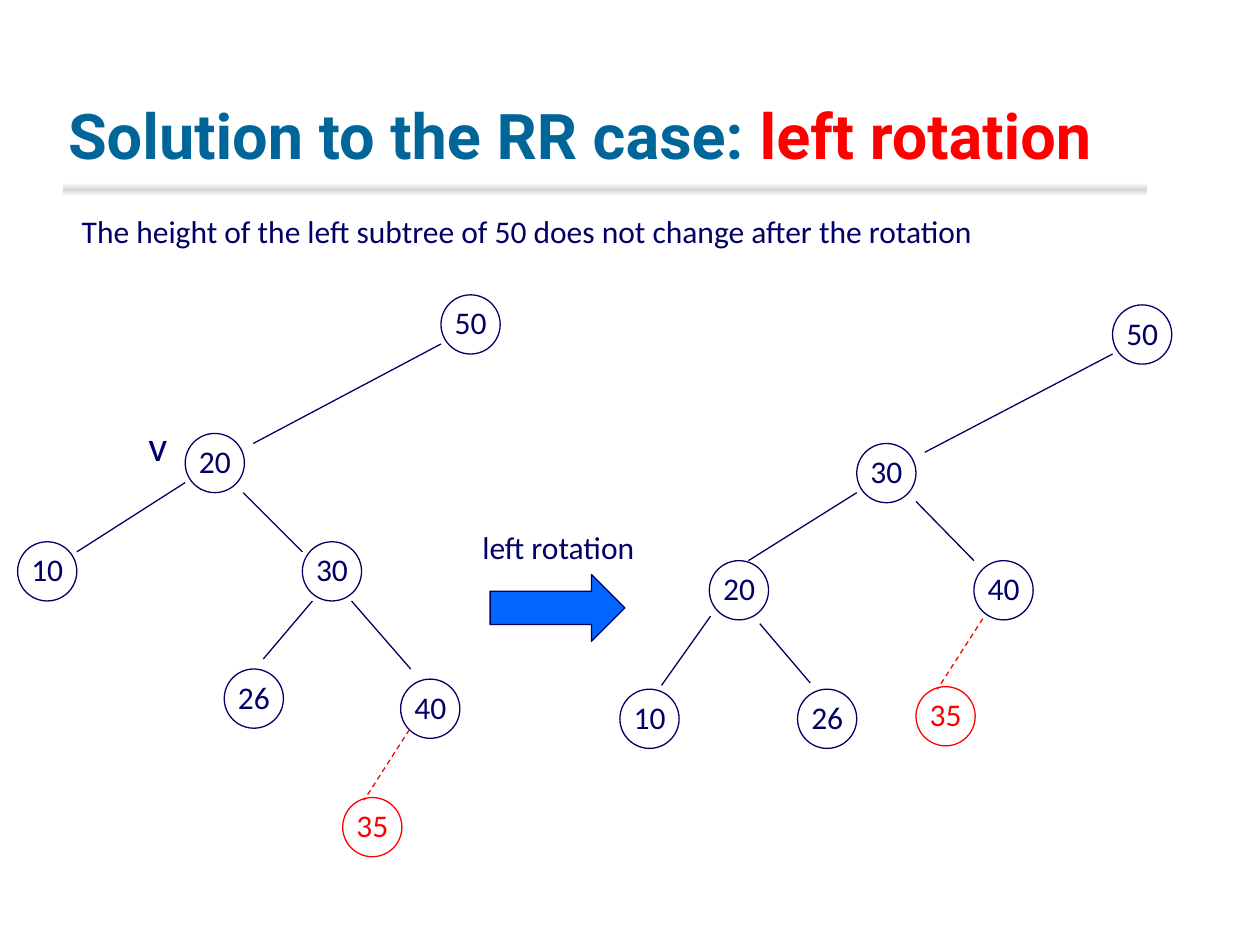
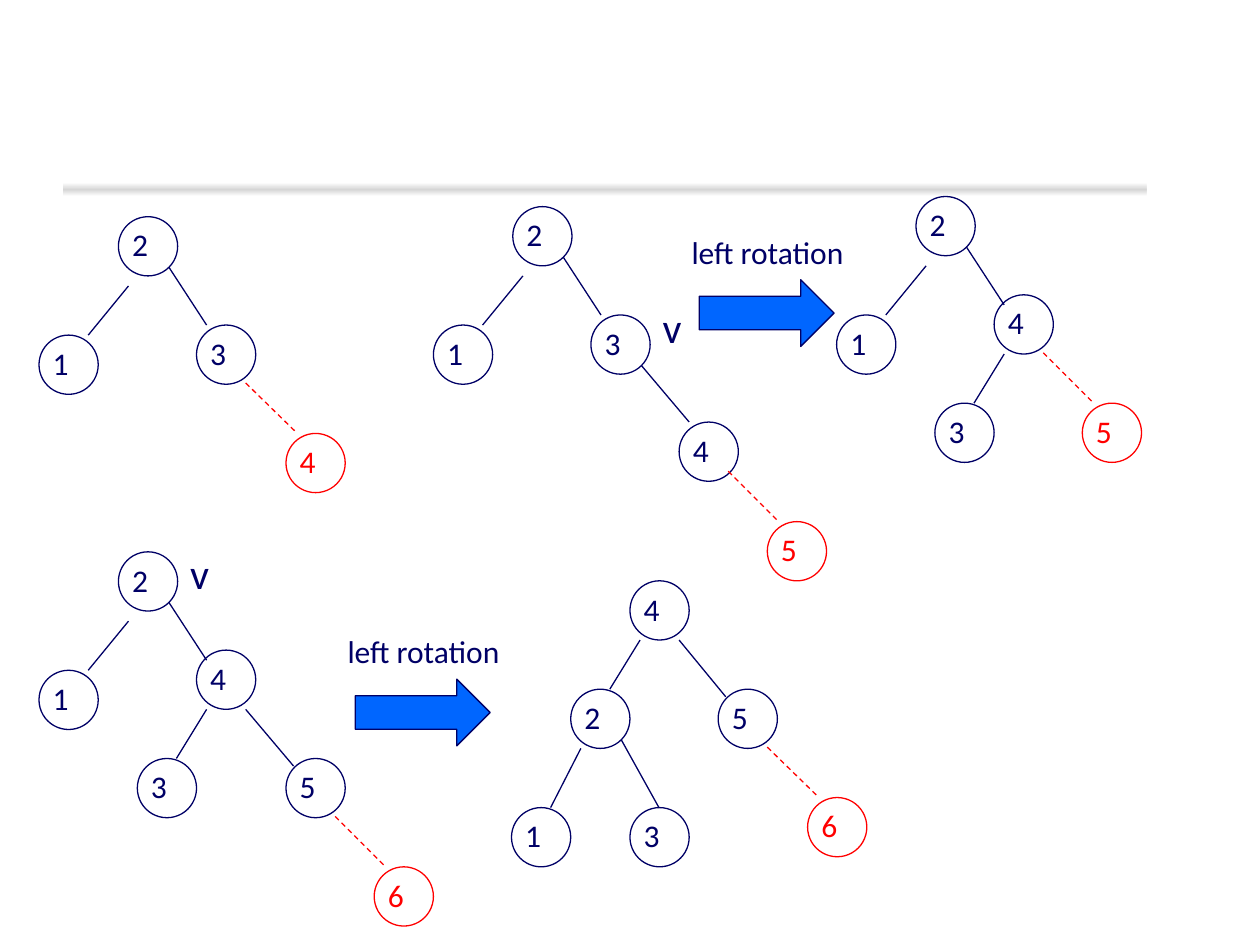
from copy import deepcopy
from dataclasses import dataclass

from lxml import etree
from pptx import Presentation
from pptx.dml.color import RGBColor
from pptx.enum import dml, shapes, text
from pptx.oxml.ns import qn
from pptx.util import Inches, Pt


@dataclass(frozen=True)
class Theme:
    ink: str = "000066"
    red: str = "FF0000"
    title: str = "006699"
    arrow: str = "0066FF"
    band: str = "D6D6D6"
    white: str = "FFFFFF"
    title_font: str = "Roboto"
    body_font: str = "Calibri"
    title_size: int = 36
    body_size: int = 18
    mark_size: int = 24
    line_width: float = 0.75
    node_size: float = 0.47


THEME = Theme()


@dataclass(frozen=True)
class Node:
    """A tree node; the edge runs from a point on its parent to one on itself."""
    label: str
    x: float
    y: float
    parent: str = ""
    start: tuple = (0, 0)
    end: tuple = (0, 0)
    new: bool = False


# Shared helpers
def box(left, top, width, height):
    return [Inches(length) for length in (left, top, width, height)]


def format_run(run, size, color, font=THEME.body_font, bold=False):
    for name, value in {"size": Pt(size), "name": font, "bold": bold}.items():
        setattr(run.font, name, value)
    run.font.color.rgb = RGBColor.from_string(color)


def format_line(line, color):
    line.color.rgb = RGBColor.from_string(color)
    line.width = Pt(THEME.line_width)


def add_label(parent, words, left, top, width, height=0.4,
              color=THEME.ink, size=THEME.body_size):
    frame = parent.shapes.add_textbox(*box(left, top, width, height)).text_frame
    frame.word_wrap = False
    frame.auto_size = text.MSO_AUTO_SIZE.SHAPE_TO_FIT_TEXT
    run = frame.paragraphs[0].add_run()
    run.text = words
    format_run(run, size, color)


def add_mark(slide, left, top):
    add_label(slide, "v", left, top, 0.35, 0.5, size=THEME.mark_size)


def add_band(slide):
    band = slide.shapes.add_shape(shapes.MSO_SHAPE.RECTANGLE, *box(0.5, 1.45, 8.6, 0.11))
    band.shadow.inherit = False
    band.line.fill.background()
    band.fill.gradient()
    band.fill.gradient_angle = 90
    first, last = band.fill.gradient_stops
    for stop, position, color in ((first, 0, THEME.white), (last, 0.5, THEME.band)):
        stop.position = position
        stop.color.rgb = RGBColor.from_string(color)
    # A third stop fades the band out again
    stop_list = band.fill._fill._gradFill.find(qn("a:gsLst"))
    fade = deepcopy(stop_list[0])
    fade.set("pos", "100000")
    stop_list.append(fade)


def add_title(slide, parts):
    title = slide.shapes.title
    title.left, title.top, title.width, title.height = box(0.44, 0.17, 8.5, 1.25)
    frame = title.text_frame
    settings = {"word_wrap": True, "vertical_anchor": text.MSO_ANCHOR.BOTTOM,
                "auto_size": text.MSO_AUTO_SIZE.NONE}
    for name, value in settings.items():
        setattr(frame, name, value)
    paragraph = frame.paragraphs[0]
    paragraph.alignment = text.PP_ALIGN.LEFT
    for words, color in parts:
        run = paragraph.add_run()
        run.text = words
        format_run(run, THEME.title_size, color, THEME.title_font, True)


# Tree parts
def add_node(slide, node, left, top):
    color = THEME.red if node.new else THEME.ink
    group = slide.shapes.add_group_shape()
    circle = group.shapes.add_shape(
        shapes.MSO_SHAPE.OVAL, *box(left, top, THEME.node_size, THEME.node_size))
    circle.shadow.inherit = False
    circle.fill.background()
    format_line(circle.line, color)
    width = 0.33 if len(node.label) == 1 else 0.45
    add_label(group, node.label, left + 0.01, top + 0.02, width, color=color)


def add_edge(slide, start, end, new):
    edge = slide.shapes.add_connector(
        shapes.MSO_CONNECTOR.STRAIGHT, *[Inches(length) for length in (*start, *end)])
    format_line(edge.line, THEME.red if new else THEME.ink)
    if new:
        edge.line.dash_style = dml.MSO_LINE.DASH
    etree.SubElement(edge._element.spPr, qn("a:effectLst"))


def add_tree(slide, left, top, nodes):
    places = {node.label: (left + node.x, top + node.y) for node in nodes}
    for node in nodes:
        place = places[node.label]
        add_node(slide, node, *place)
        if node.parent:
            origin = places[node.parent]
            start = [a + b for a, b in zip(origin, node.start)]
            end = [a + b for a, b in zip(place, node.end)]
            add_edge(slide, start, end, node.new)


def add_rotation(slide, left, top):
    add_label(slide, "left rotation", left, top, 1.42)
    arrow = slide.shapes.add_shape(
        shapes.MSO_SHAPE.RIGHT_ARROW, *box(left + 0.16, top + 0.42, 1.07, 0.53))
    arrow.shadow.inherit = False
    arrow.fill.solid()
    arrow.fill.fore_color.rgb = RGBColor.from_string(THEME.arrow)
    format_line(arrow.line, THEME.ink)


# Trees of the first slide
BEFORE_ROTATION = [
    Node("50", 3.36, 0),
    Node("20", 1.33, 1.1, "50", (0, 0.39), (0.54, 0.08)),
    Node("10", 0, 1.96, "20", (0, 0.39), (0.47, 0.08)),
    Node("30", 2.26, 1.96, "20", (0.46, 0.47), (0, 0.08)),
    Node("26", 1.64, 2.97, "30", (0.08, 0.47), (0.31, -0.08)),
    Node("40", 3.04, 3.05, "30", (0.39, 0.47), (0.08, -0.08)),
    Node("35", 2.58, 3.99, "40", (0.07, 0.4), (0.17, 0.02), True),
]
AFTER_ROTATION = [
    Node("50", 3.91, 0),
    Node("30", 1.88, 1.1, "50", (0, 0.39), (0.54, 0.07)),
    Node("20", 0.71, 2.03, "30", (0, 0.39), (0.31, 0)),
    Node("40", 2.81, 2.03, "30", (0.47, 0.46), (0, 0)),
    Node("10", 0, 3.05, "20", (0.01, 0.44), (0.33, -0.03)),
    Node("26", 1.41, 3.05, "20", (0.4, 0.5), (0.1, -0.05)),
    Node("35", 2.35, 3.03, "40", (0.07, 0.46), (0.17, 0.02), True),
]

# Edge ends and trees of the second slide
TO_LEFT = ((0.08, 0.47), (0.31, 0))
TO_RIGHT = ((0.4, 0.4), (0.08, 0))
TO_HIGH_RIGHT = ((0.4, 0.4), (0.08, 0.08))
TO_WIDE_RIGHT = ((0.39, 0.47), (0.06, 0.06))
TO_NEW = ((0.39, 0.46), (0.09, 0), True)

ROOT_AND_LEFT = [Node("2", 0.63, 0), Node("1", 0, 0.94, "2", (0.08, 0.55), (0.39, 0))]
THREE_NODES = ROOT_AND_LEFT + [Node("3", 1.25, 0.86, "2", *TO_RIGHT)]
ROTATED_NODES = ROOT_AND_LEFT + [Node("4", 1.25, 0.78, "2", *TO_HIGH_RIGHT),
                                 Node("3", 0.78, 1.64, "4", *TO_LEFT)]
INSERT_4 = THREE_NODES + [Node("4", 1.96, 1.72, "3", *TO_NEW)]
INSERT_5 = THREE_NODES + [Node("4", 1.95, 1.71, "3", *TO_RIGHT),
                          Node("5", 2.65, 2.5, "4", (0.39, 0.39), (0.09, 0), True)]
BALANCED_5 = ROTATED_NODES + [Node("5", 1.95, 1.64, "4", *TO_NEW)]
INSERT_6 = ROTATED_NODES + [Node("5", 1.96, 1.64, "4", *TO_WIDE_RIGHT),
                            Node("6", 2.66, 2.5, "5", *TO_NEW)]
BALANCED_6 = [
    Node("4", 0.94, 0),
    Node("2", 0.47, 0.86, "4", *TO_LEFT),
    Node("5", 1.64, 0.86, "4", *TO_WIDE_RIGHT),
    Node("1", 0, 1.8, "2", *TO_LEFT),
    Node("3", 0.94, 1.8, "2", (0.4, 0.4), (0.23, 0)),
    Node("6", 2.35, 1.72, "5", *TO_NEW),
]


def build_rr_case(presentation):
    slide = presentation.slides.add_slide(presentation.slide_layouts.get_by_name("Title Only"))
    add_band(slide)
    add_title(slide, [("Solution to the RR case: ", THEME.title), ("left rotation", THEME.red)])
    add_label(slide, "The height of the left subtree of 50 does not change after the rotation",
              0.55, 1.63, 7.38)
    add_tree(slide, 0.14, 2.34, BEFORE_ROTATION)
    add_mark(slide, 1.08, 3.28)
    add_rotation(slide, 3.73, 4.14)
    add_tree(slide, 4.92, 2.42, AFTER_ROTATION)


def build_insertions(presentation):
    slide = presentation.slides.add_slide(presentation.slide_layouts.get_by_name("Blank"))
    add_band(slide)
    trees = [(0.31, 1.72, INSERT_4), (3.44, 1.64, INSERT_5), (6.64, 1.56, BALANCED_5),
             (0.31, 4.38, INSERT_6), (4.06, 4.61, BALANCED_6)]
    for tree in trees:
        add_tree(slide, *tree)
    for left, top in ((5.16, 2.34), (1.41, 4.3)):
        add_mark(slide, left, top)
    for left, top in ((5.39, 1.8), (2.66, 4.97)):
        add_rotation(slide, left, top)


def main():
    presentation = Presentation()
    presentation.slide_width = Inches(10)
    presentation.slide_height = Inches(7.5)
    build_rr_case(presentation)
    build_insertions(presentation)
    presentation.save("out.pptx")


if __name__ == "__main__":
    main()
